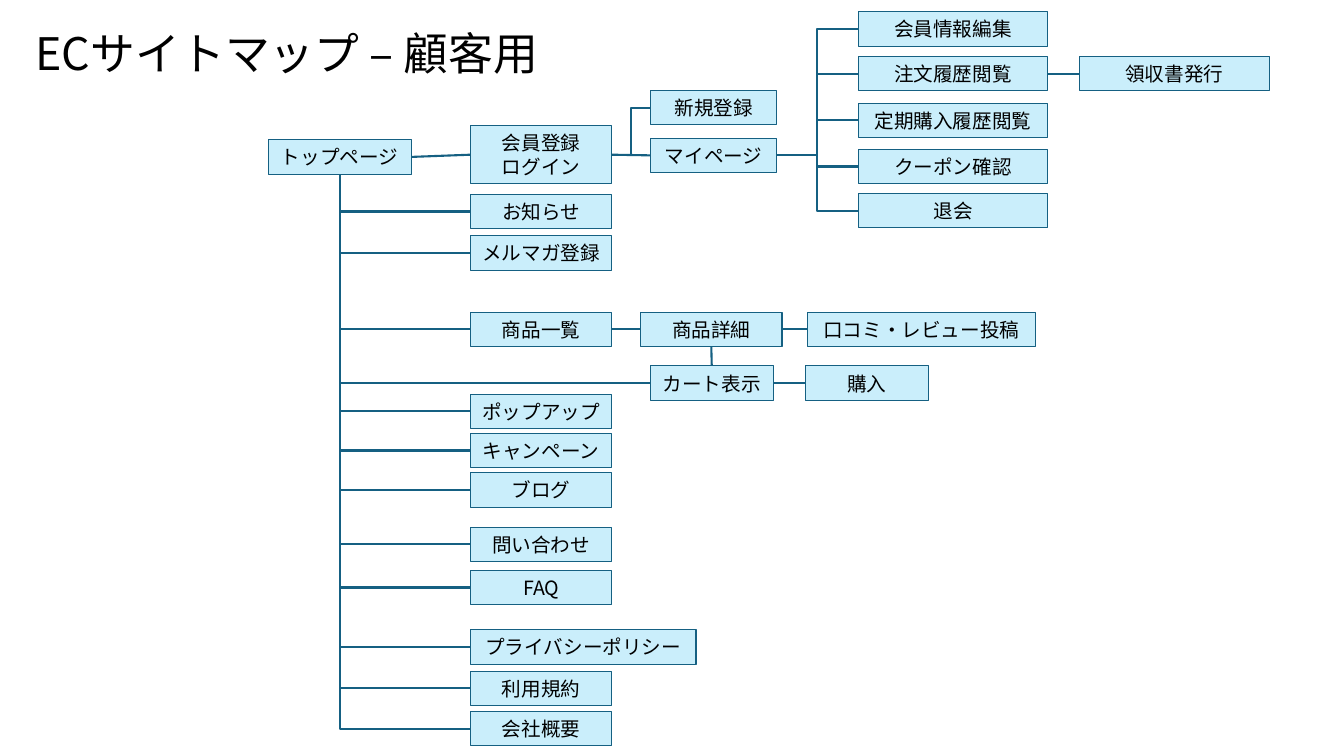
"""Build the customer site map slide of an online shop."""
from lxml import etree
from pptx import Presentation
from pptx.dml.color import RGBColor
from pptx.enum.shapes import MSO_CONNECTOR, MSO_SHAPE
from pptx.enum.text import MSO_ANCHOR, PP_ALIGN
from pptx.oxml.ns import qn
from pptx.util import Pt

RECT = MSO_SHAPE.RECTANGLE
LINE, BENT = MSO_CONNECTOR.STRAIGHT, MSO_CONNECTOR.ELBOW
TOP, LEFT, BASE, RIGHT = range(4)
MIDDLE, UPPER = MSO_ANCHOR.MIDDLE, MSO_ANCHOR.TOP
CENTER, START = PP_ALIGN.CENTER, PP_ALIGN.LEFT

FONT = "Noto Sans CJK JP"
COLORS = {"fill": "CAEEFB", "line": "156082", "text": "000000"}
HIGH, TALL = 24.6, 41

TITLE = "ECサイトマップ – 顧客用"
ROOT = "トップページ"
LOGIN = "会員登録\nログイン"

# (left, width, [(text, top), ...])
COLUMNS = [
    (191.5, 102.4, [(ROOT, 99.8)]),
    (336.2, 100.8, [
        (LOGIN, 90), ("お知らせ", 138.8), ("メルマガ登録", 168.4),
        ("商品一覧", 223), ("ポップアップ", 281.6), ("キャンペーン", 309.5),
        ("ブログ", 337.7), ("問い合わせ", 376.6), ("FAQ", 407.4),
        ("利用規約", 479.4), ("会社概要", 508.2)]),
    (336.2, 161, [("プライバシーポリシー", 449.8)]),
    (464.8, 90, [("新規登録", 64.7), ("マイページ", 98.7)]),
    (457.6, 101, [("商品詳細", 223)]),
    (464.4, 88, [("カート表示", 261.4)]),
    (613, 135.6, [
        ("会員情報編集", 8.4), ("注文履歴閲覧", 40.4),
        ("定期購入履歴閲覧", 73.8), ("クーポン確認", 106.6), ("退会", 138.2)]),
    (771, 135.6, [("領収書発行", 40.4)]),
    (576.6, 163.2, [("口コミ・レビュー投稿", 223)]),
    (575.2, 88, [("購入", 261.4)]),
]
TRUNK = ["お知らせ", "メルマガ登録", "商品一覧", "カート表示", "ポップアップ",
         "キャンペーン", "ブログ", "問い合わせ", "FAQ",
         "プライバシーポリシー", "利用規約", "会社概要"]
FORKS = [(LOGIN, "新規登録")] + [
    ("マイページ", text) for text, top in COLUMNS[6][2]]
ROWS = [(ROOT, LOGIN), (LOGIN, "マイページ"), ("注文履歴閲覧", "領収書発行"),
        ("商品一覧", "商品詳細"), ("商品詳細", "口コミ・レビュー投稿"),
        ("カート表示", "購入")]


def color(name):
    return RGBColor.from_string(COLORS[name])


def write(frame, text, size, align, anchor):
    frame.word_wrap = True
    frame.vertical_anchor = anchor
    for i, line in enumerate(text.split("\n")):
        para = frame.paragraphs[0] if i == 0 else frame.add_paragraph()
        para.alignment = align
        run = para.add_run()
        run.text = line
        run.font.size = Pt(size)
        run.font.name = FONT
        run.font.color.rgb = color("text")
        east = etree.SubElement(run._r.get_or_add_rPr(), qn("a:ea"))
        east.set("typeface", FONT)


def add_box(slide, text, left, top, width):
    high = TALL if "\n" in text else HIGH
    box = slide.shapes.add_shape(RECT, Pt(left), Pt(top), Pt(width), Pt(high))
    box.shadow.inherit = False
    box.fill.solid()
    box.fill.fore_color.rgb = color("fill")
    box.line.color.rgb = color("line")
    box.line.width = Pt(0.75)
    frame = box.text_frame
    frame.margin_left = frame.margin_right = Pt(3)
    write(frame, text, 14, CENTER, MIDDLE)
    return box


def join(slide, kind, start, out, end, into):
    link = slide.shapes.add_connector(kind, 0, 0, 0, 0)
    link.begin_connect(start, out)
    link.end_connect(end, into)
    link.line.color.rgb = color("line")
    link.line.width = Pt(1.5)
    etree.SubElement(link._element.spPr, qn("a:effectLst"))
    return link


def main():
    deck = Presentation()
    deck.slide_width, deck.slide_height = Pt(960), Pt(540)
    slide = deck.slides.add_slide(deck.slide_layouts[5])

    title = slide.shapes.title
    title.left, title.top = Pt(16), Pt(13)
    title.width, title.height = Pt(894), Pt(60.5)
    frame = title.text_frame
    frame.margin_left = frame.margin_right = Pt(9.4)
    frame.margin_top = frame.margin_bottom = Pt(9.4)
    write(frame, TITLE, 32, START, UPPER)
    frame.paragraphs[0].line_spacing = 0.9

    boxes = {text: add_box(slide, text, left, top, width)
             for left, width, items in COLUMNS for text, top in items}

    for start, end in ROWS:
        join(slide, LINE, boxes[start], RIGHT, boxes[end], LEFT)
    join(slide, LINE, boxes["カート表示"], TOP, boxes["商品詳細"], BASE)
    for start, end in FORKS:
        join(slide, BENT, boxes[start], RIGHT, boxes[end], LEFT)
    for text in TRUNK:
        link = join(slide, BENT, boxes[text], LEFT, boxes[ROOT], BASE)
        link._element.spPr.find(qn("a:prstGeom")).set("prst", "bentConnector2")

    deck.save("out.pptx")


if __name__ == "__main__":
    main()
